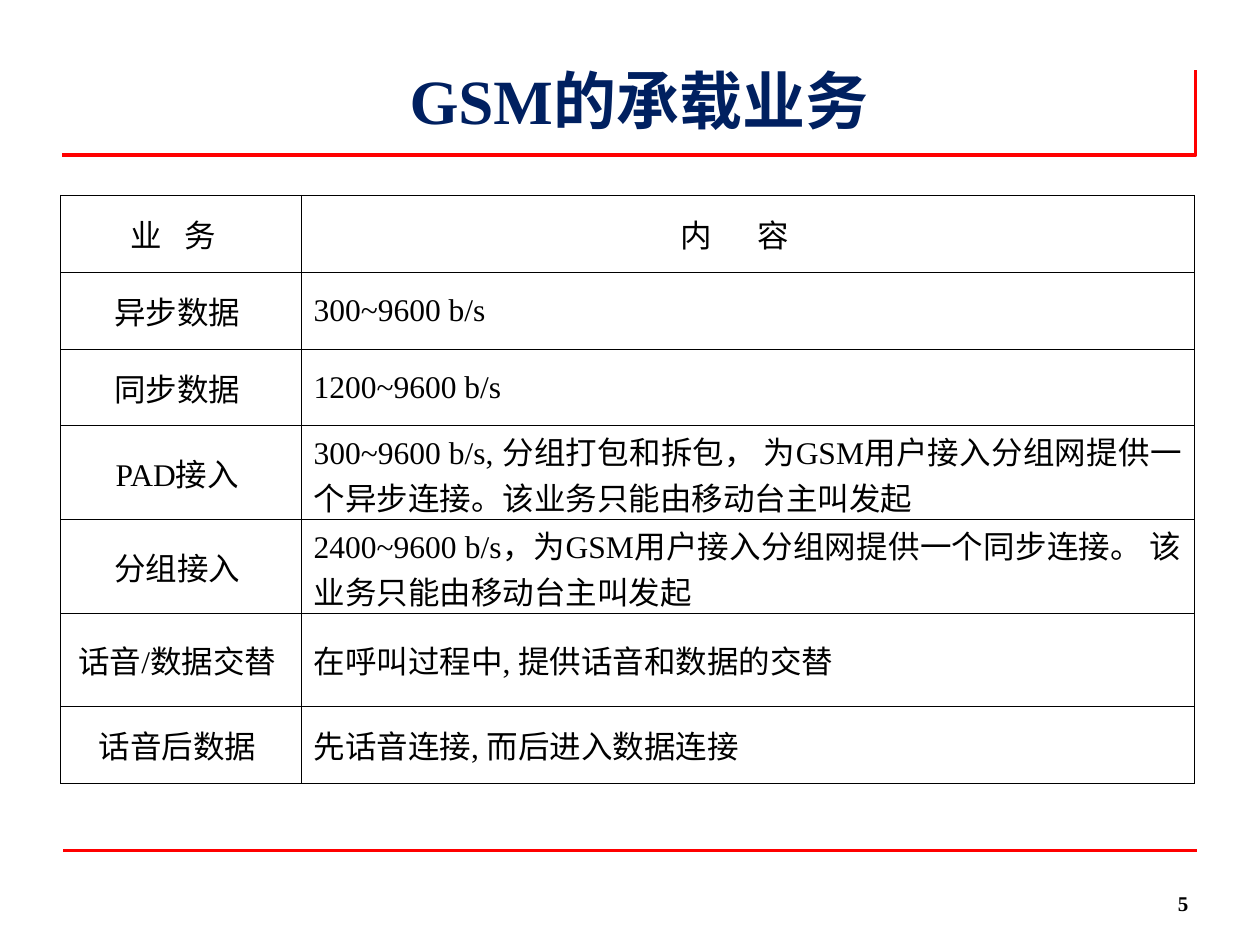
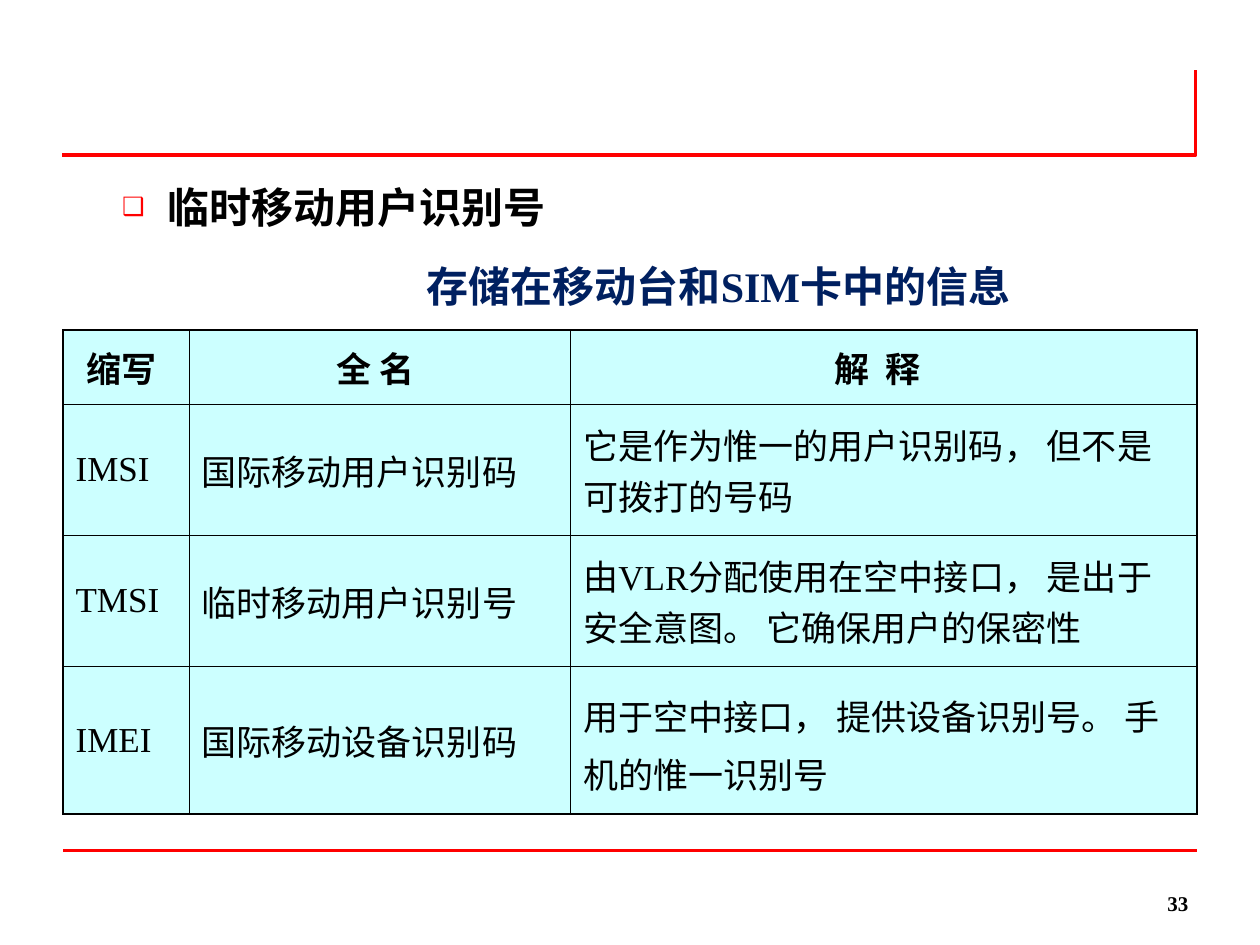
from dataclasses import dataclass

from lxml import etree
from pptx import Presentation
from pptx.dml.color import RGBColor
from pptx.enum.shapes import MSO_CONNECTOR
from pptx.enum.text import MSO_ANCHOR, MSO_AUTO_SIZE, PP_ALIGN
from pptx.oxml.ns import qn
from pptx.util import Inches, Pt

LEFT, CENTER, RIGHT, JUSTIFY = PP_ALIGN.LEFT, PP_ALIGN.CENTER, PP_ALIGN.RIGHT, PP_ALIGN.JUSTIFY
TOP, MIDDLE, BOTTOM = MSO_ANCHOR.TOP, MSO_ANCHOR.MIDDLE, MSO_ANCHOR.BOTTOM
FIXED_SIZE = MSO_AUTO_SIZE.NONE
STRAIGHT = MSO_CONNECTOR.STRAIGHT
TITLE_AND_BODY, TITLE_ONLY = 1, 5


@dataclass(frozen=True)
class Theme:
    font: str = "Times New Roman"
    ink: str = "000000"
    navy: str = "002060"
    red: str = "FF0000"
    aqua: str = "CCFFFF"
    title_size: int = 36
    heading_size: int = 24
    identity_size: int = 20
    service_size: int = 18
    number_size: int = 12
    rule_width: float = 2
    thin_border: float = 0.45
    thick_border: float = 1.08


@dataclass(frozen=True)
class Cell:
    text: str
    align: PP_ALIGN = LEFT
    bold: bool = False
    letter_gap: float = 0
    line_spacing: float = 1
    tight: bool = False


class Deck:
    def __init__(self, theme):
        self.theme = theme
        self.presentation = Presentation()
        self.presentation.slide_width = Inches(10)
        self.presentation.slide_height = Inches(7.5)
        self.slide = None

    def add_slide(self, layout_index, number):
        layout = self.presentation.slide_layouts[layout_index]
        self.slide = self.presentation.slides.add_slide(layout)
        self.corner_rule()
        self.footer_rule()
        self.slide_number(number)

    def corner_rule(self):
        builder = self.slide.shapes.build_freeform(Inches(9.49), Inches(0.56))
        corners = [(Inches(9.49), Inches(1.23)), (Inches(0.49), Inches(1.23))]
        builder.add_line_segments(corners, close=False)
        shape = builder.convert_to_shape()
        shape.shadow.inherit = False
        shape.fill.background()
        self.style_rule(shape)

    def footer_rule(self):
        connector = self.slide.shapes.add_connector(
            STRAIGHT, Inches(0.5), Inches(6.75), Inches(9.5), Inches(6.75))
        self.style_rule(connector)
        etree.SubElement(connector._element.spPr, qn("a:effectLst"))

    def style_rule(self, shape):
        shape.line.color.rgb = RGBColor.from_string(self.theme.red)
        shape.line.width = Pt(self.theme.rule_width)

    def slide_number(self, number):
        shape = self.slide.shapes.add_textbox(
            Inches(7.2), Inches(6.82), Inches(2.33), Inches(0.5))
        self.fill_box(shape, str(number), self.theme.number_size,
                      self.theme.ink, RIGHT, BOTTOM)

    def title(self, text, box, size, align, wrap=True):
        shape = self.place(self.slide.shapes.title, box)
        self.fill_box(shape, text, size, self.theme.navy, align, TOP, wrap)

    def bullet(self, text, box):
        shape = self.place(self.slide.placeholders[1], box)
        paragraph = shape.text_frame.paragraphs[0]
        paragraph.level = 1
        properties = paragraph._p.get_or_add_pPr()
        properties.set("marL", str(Inches(0.73)))
        properties.set("indent", str(Inches(-0.36)))
        color = etree.SubElement(properties, qn("a:buClr"))
        etree.SubElement(color, qn("a:srgbClr"), val=self.theme.red)
        etree.SubElement(properties, qn("a:buSzPct"), val="60000")
        etree.SubElement(properties, qn("a:buChar"), char="❑")
        self.fill_box(shape, text, self.theme.heading_size, self.theme.ink, LEFT, TOP)

    def place(self, shape, box):
        shape.left, shape.top, shape.width, shape.height = map(Inches, box)
        return shape

    def fill_box(self, shape, text, size, color, align, anchor, wrap=True):
        frame = shape.text_frame
        frame.word_wrap = wrap
        frame.auto_size = FIXED_SIZE
        frame.vertical_anchor = anchor
        self.add_text(frame.paragraphs[0], text, size, color, align, True)

    def add_text(self, paragraph, text, size, color, align, bold):
        paragraph.alignment = align
        paragraph.space_before = Pt(0)
        run = paragraph.add_run()
        run.text = text
        run.font.name = self.theme.font
        run.font.size = Pt(size)
        run.font.bold = bold
        run.font.color.rgb = RGBColor.from_string(color)
        return run

    def table(self, left, top, widths, heights, rows, size, outer_border, fill=None):
        frame = self.slide.shapes.add_table(
            len(rows), len(widths), Inches(left), Inches(top),
            Inches(sum(widths)), Inches(sum(heights)))
        table = frame.table
        table.first_row = table.horz_banding = False
        for column, width in zip(table.columns, widths):
            column.width = Inches(width)
        for row, height in zip(table.rows, heights):
            row.height = Inches(height)
        last_row, last_column = len(rows) - 1, len(widths) - 1
        for row_index, row in enumerate(rows):
            for column_index, content in enumerate(row):
                cell = table.cell(row_index, column_index)
                self.fill_cell(cell, content, size, fill)
                self.border_cell(cell, outer_border, {
                    "lnL": column_index == 0,
                    "lnR": column_index == last_column,
                    "lnT": row_index == 0,
                    "lnB": row_index == last_row,
                })

    def fill_cell(self, cell, content, size, fill):
        cell.vertical_anchor = MIDDLE
        if content.tight:
            cell.margin_top, cell.margin_bottom = Inches(0.02), 0
        if fill:
            cell.fill.solid()
            cell.fill.fore_color.rgb = RGBColor.from_string(fill)
        else:
            cell.fill.background()
        paragraph = cell.text_frame.paragraphs[0]
        paragraph.line_spacing = content.line_spacing
        run = self.add_text(paragraph, content.text, size, self.theme.ink,
                            content.align, content.bold)
        if content.letter_gap:
            run._r.get_or_add_rPr().set("spc", str(int(content.letter_gap * 100)))

    def border_cell(self, cell, outer_border, edges):
        properties = cell._tc.get_or_add_tcPr()
        for position, (tag, is_outer) in enumerate(edges.items()):
            width = outer_border if is_outer else self.theme.thin_border
            line = etree.Element(qn("a:" + tag), w=str(Pt(width)))
            solid = etree.SubElement(line, qn("a:solidFill"))
            etree.SubElement(solid, qn("a:srgbClr"), val=self.theme.ink)
            properties.insert(position, line)


def bearer_services(deck):
    theme = deck.theme
    deck.add_slide(TITLE_ONLY, 5)
    deck.title("GSM的承载业务", (3.15, 0.44, 3.96, 0.7), theme.title_size, LEFT, wrap=False)
    services = [
        ("异步数据 ", Cell("300~9600 b/s")),
        ("同步数据 ", Cell("1200~9600 b/s")),
        ("PAD接入 ", Cell("300~9600 b/s, 分组打包和拆包， 为GSM用户接入分组网提供"
                        "一个异步连接。该业务只能由移动台主叫发起 ", JUSTIFY, tight=True)),
        ("分组接入 ", Cell("2400~9600 b/s，为GSM用户接入分组网提供一个同步连接。 "
                       "该业务只能由移动台主叫发起 ", JUSTIFY, tight=True)),
        ("话音/数据交替 ", Cell("在呼叫过程中, 提供话音和数据的交替")),
        ("话音后数据 ", Cell("先话音连接, 而后进入数据连接")),
    ]
    rows = [[Cell("业 务 ", CENTER, letter_gap=4.5), Cell("内 容 ", CENTER, letter_gap=11)]]
    rows += [[Cell(name, CENTER), content] for name, content in services]
    heights = [0.61] * 3 + [0.74] * 3 + [0.61]
    deck.table(0.48, 1.55, [1.91, 7.09], heights, rows, theme.service_size,
               theme.thin_border)


def subscriber_identities(deck):
    theme = deck.theme
    deck.add_slide(TITLE_AND_BODY, 33)
    deck.bullet("临时移动用户识别号", (0.5, 1.39, 9, 5.32))
    deck.title("存储在移动台和SIM卡中的信息 ", (1.85, 2.02, 7.78, 0.5),
               theme.heading_size, CENTER)
    rows = [
        [Cell("缩写 ", CENTER, True), Cell("全 名 ", CENTER, True),
         Cell("解 释 ", CENTER, True, letter_gap=2.5)],
        [Cell("IMSI"), Cell("国际移动用户识别码"),
         Cell("它是作为惟一的用户识别码， 但不是可拨打的号码")],
        [Cell("TMSI"), Cell("临时移动用户识别号"),
         Cell("由VLR分配使用在空中接口， 是出于安全意图。 它确保用户的保密性")],
        [Cell("IMEI"), Cell("国际移动设备识别码"),
         Cell("用于空中接口， 提供设备识别号。 手机的惟一识别号", line_spacing=1.15)],
    ]
    deck.table(0.5, 2.62, [1, 3.03, 4.97], [0.59, 1.04, 1.04, 1.17], rows,
               theme.identity_size, theme.thick_border, theme.aqua)


def main():
    deck = Deck(Theme())
    bearer_services(deck)
    subscriber_identities(deck)
    deck.presentation.save("out.pptx")


if __name__ == "__main__":
    main()
